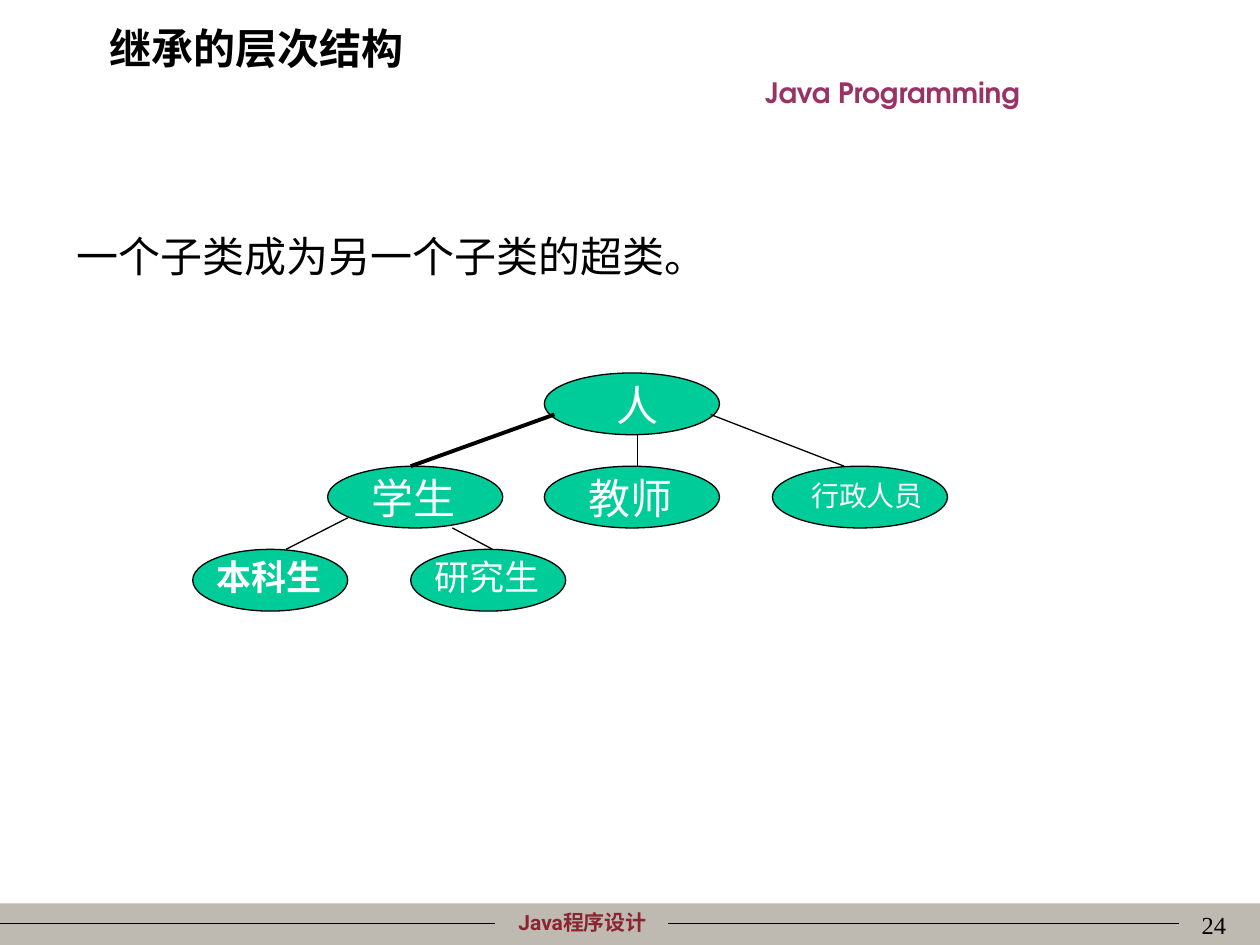
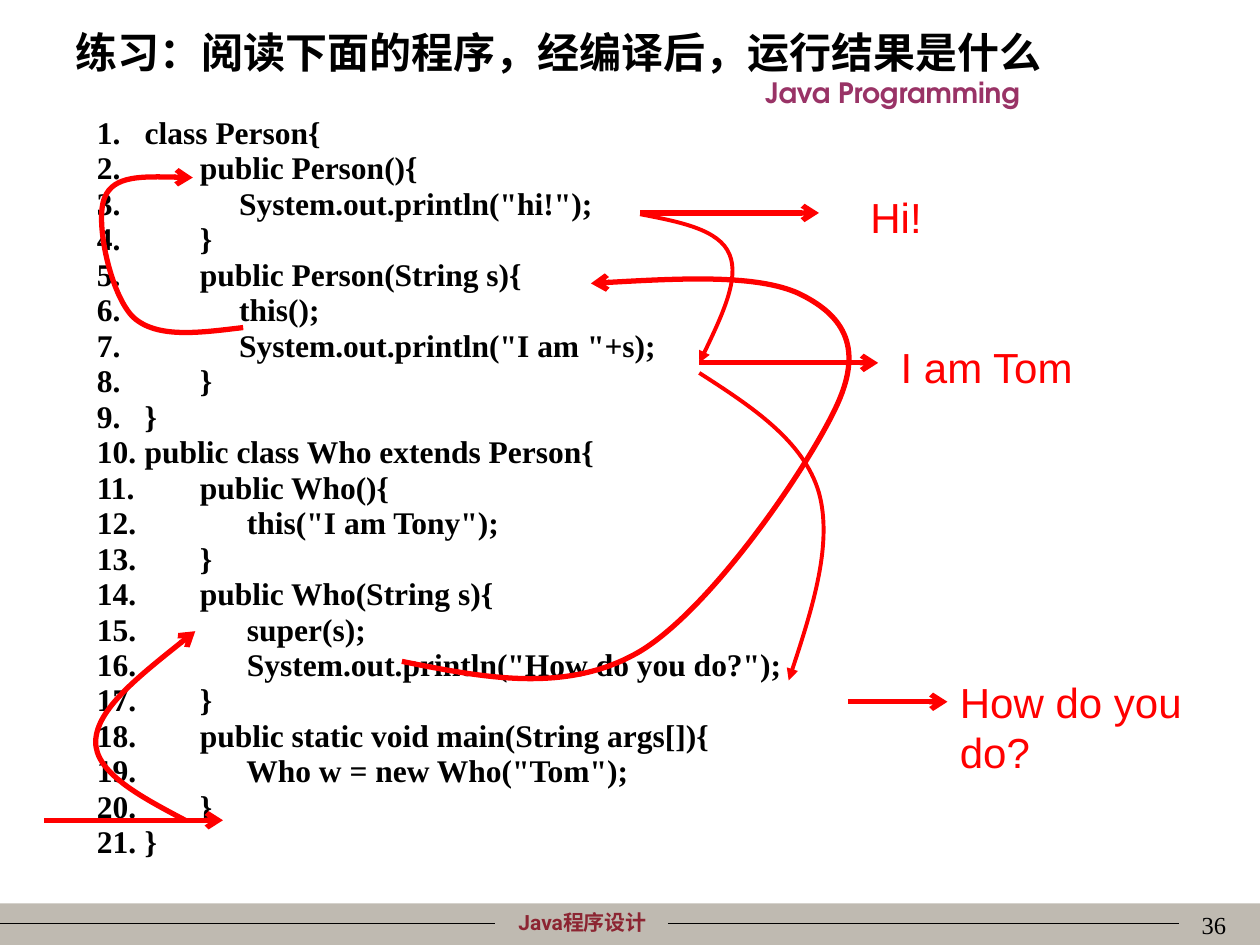
from lxml import etree
from pptx import Presentation
from pptx.dml.color import RGBColor
from pptx.enum.shapes import MSO_CONNECTOR, MSO_SHAPE
from pptx.enum.text import PP_ALIGN
from pptx.oxml.ns import qn
from pptx.util import Inches, Pt

RECTANGLE, OVAL = MSO_SHAPE.RECTANGLE, MSO_SHAPE.OVAL
STRAIGHT = MSO_CONNECTOR.STRAIGHT
LEFT, CENTER, RIGHT = PP_ALIGN.LEFT, PP_ALIGN.CENTER, PP_ALIGN.RIGHT

COLORS = {
    "text": "000000", "node": "00CC99", "label": "FFFFFF", "trace": "FF0000",
    "band": "BFBAB1", "footer": "8C2532", "course": "993366",
}
SERIF, SANS, CJK = "Times New Roman", "Arial", "Noto Sans CJK SC"

HIERARCHY = {
    "title": "继承的层次结构",
    "title_box": (0.77, 0.13, 8.5, 0.5),
    "number": "24",
    "statement": "一个子类成为另一个子类的超类。",
}
NODE_HEIGHT = 0.49
# Node width, then label offset, label size and text format per kind of node
NODE_KINDS = {
    "root": (1.39, (0.25, 0), (0.98, 0.5), {"size": 24, "align": CENTER}),
    "role": (1.39, (0.25, 0), (0.98, 0.5), {"size": 24}),
    "staff": (1.39, (0.21, 0.05), (1.26, 0.37), {"size": 16}),
    "student": (1.23, (0.09, 0), (1.31, 0.44), {"size": 20}),
    "undergraduate": (1.23, (0.09, 0), (1.31, 0.44), {"size": 20, "bold": True}),
}
NODES = [
    ("人", "root", 4.32, 2.96),
    ("学生", "role", 2.6, 3.7),
    ("行政人员", "staff", 6.13, 3.7),
    ("教师", "role", 4.32, 3.7),
    ("本科生", "undergraduate", 1.53, 4.36),
    ("研究生", "student", 3.26, 4.36),
]
BRANCHES = [
    ((4.4, 3.29), (3.26, 3.7), 2.25),
    ((5.06, 3.45), (5.06, 3.7), 0.75),
    ((5.64, 3.29), (6.7, 3.7), 0.75),
    ((2.76, 4.11), (2.27, 4.36), 0.75),
    ((3.59, 4.19), (3.91, 4.36), 0.75),
]

EXERCISE = {
    "title": "练习：阅读下面的程序，经编译后，运行结果是什么",
    "title_box": (0.5, 0.16, 9, 0.53),
    "number": "36",
}
CODE = """\
class Person{
       public Person(){
            System.out.println("hi!");
       }
       public Person(String s){
            this();
            System.out.println("I am "+s);
       }
}
public class Who extends Person{
       public Who(){
             this("I am Tony");
       }
       public Who(String s){
             super(s);
             System.out.println("How do you do?");
       }
       public static void main(String args[]){
             Who w = new Who("Tom");
       }
}"""
TRACE_ARROWS = [
    ((0.35, 6.51), (1.77, 6.51)),
    ((5.08, 1.69), (6.5, 1.69)),
    ((5.55, 2.88), (6.97, 2.88)),
    ((6.73, 5.57), (7.52, 5.57)),
]
OUTPUTS = [
    ("Hi!", (6.81, 1.47, 2.36, 0.5)),
    ("I am Tom", (7.05, 2.66, 2.36, 0.5)),
    ("How do you do?", (7.52, 5.32, 2.36, 0.9)),
]
# Start point followed by three Bezier points per segment
CALLS = [
    [(1.47, 6.51), (1.11, 6.32), (0.75, 6.13), (0.76, 5.88),
     (0.77, 5.63), (1.16, 5.32), (1.55, 5.01)],
    [(3.19, 5.25), (3.84, 5.38), (4.5, 5.51), (5.08, 5.17),
     (5.66, 4.82), (6.44, 3.67), (6.65, 3.2),
     (6.86, 2.73), (6.67, 2.49), (6.34, 2.33),
     (6.01, 2.18), (5.35, 2.21), (4.69, 2.25)],
    [(1.93, 2.6), (1.59, 2.64), (1.25, 2.69), (1.06, 2.52),
     (0.88, 2.35), (0.75, 1.76), (0.83, 1.57),
     (0.9, 1.39), (1.22, 1.4), (1.53, 1.41)],
]
RETURNS = [
    [(5.08, 1.7), (5.39, 1.76), (5.71, 1.82), (5.79, 2.02),
     (5.87, 2.21), (5.71, 2.55), (5.55, 2.88)],
    [(5.55, 2.96), (5.97, 3.23), (6.38, 3.5), (6.5, 3.91),
     (6.61, 4.31), (6.44, 4.86), (6.26, 5.4)],
]


def rgb(name):
    return RGBColor.from_string(COLORS[name])


def inches(values):
    return [Inches(value) for value in values]


def number_paragraph(para, indent):
    properties = para._p.get_or_add_pPr()
    properties.set("marL", str(Inches(indent)))
    properties.set("indent", str(-Inches(indent)))
    etree.SubElement(properties, qn("a:buAutoNum"), type="arabicPeriod")


def add_text(page, area, text, size=24, font=SERIF, color="text", bold=False,
             align=LEFT, numbered=False, line_spacing=None, space_before=0):
    frame = page.shapes.add_textbox(*inches(area)).text_frame
    frame.word_wrap = True
    for index, line in enumerate(text.split("\n")):
        para = frame.add_paragraph() if index else frame.paragraphs[0]
        if numbered:
            number_paragraph(para, 0.38)
        para.alignment = align
        para.line_spacing = line_spacing
        if index and space_before:
            para.space_before = Pt(space_before)
        span = para.add_run()
        span.text = line
        span.font.size, span.font.name, span.font.bold = Pt(size), font, bold
        span.font.color.rgb = rgb(color)
        etree.SubElement(span._r.get_or_add_rPr(), qn("a:ea"), typeface=CJK)


def add_filled(page, kind, area, fill, outlined=False):
    shape = page.shapes.add_shape(kind, *inches(area))
    shape.shadow.inherit = False
    shape.fill.solid()
    shape.fill.fore_color.rgb = rgb(fill)
    if outlined:
        draw_line(shape, "text", 0.75)
    else:
        shape.line.fill.background()


def draw_line(shape, color, width, head=None):
    shape.line.color.rgb = rgb(color)
    shape.line.width = Pt(width)
    if head:
        outline = shape.element.spPr.find(qn("a:ln"))
        etree.SubElement(outline, qn("a:tailEnd"), type=head)


def add_line(page, start, end, color="text", width=0.75, head=None):
    line = page.shapes.add_connector(STRAIGHT, *inches(start + end))
    draw_line(line, color, width, head)
    etree.SubElement(line.element.spPr, qn("a:effectLst"))


def add_curve(page, points, width, head):
    """Build a freeform through the points, then turn each three steps into a Bezier."""
    start, *rest = [inches(point) for point in points]
    builder = page.shapes.build_freeform(*start)
    builder.add_line_segments(rest, close=False)
    curve = builder.convert_to_shape()
    curve.shadow.inherit = False
    curve.fill.background()
    draw_line(curve, "trace", width, head)
    outline = curve.element.find(".//" + qn("a:path"))
    steps = outline.findall(qn("a:lnTo"))
    for first in range(0, len(steps), 3):
        bezier = etree.SubElement(outline, qn("a:cubicBezTo"))
        for step in steps[first:first + 3]:
            bezier.append(step[0])
            outline.remove(step)


def add_page(deck, content):
    page = deck.slides.add_slide(deck.slide_layouts[6])
    add_filled(page, RECTANGLE, (0, 7.17, 10, 0.33), "band")
    add_text(page, (3.62, 7.17, 2.01, 0.3), "Java程序设计", size=12,
             font="Roboto", color="footer", bold=True, align=CENTER)
    for left, right in ((0, 3.93), (5.3, 9.36)):
        add_line(page, (left, 7.33), (right, 7.33))
    add_text(page, (5.08, 0.55, 4.01, 0.37), "Java Programming", size=16,
             font="TeX Gyre Adventor", color="course", bold=True, align=CENTER)
    add_text(page, (7.75, 7.17, 2.08, 0.5), content["number"], size=14, align=RIGHT)
    add_text(page, content["title_box"], content["title"], font=CJK, bold=True)
    return page


def add_hierarchy(deck):
    page = add_page(deck, HIERARCHY)
    add_text(page, (0.51, 1.78, 9, 4.96), HIERARCHY["statement"])
    for label, kind, left, top in NODES:
        width, (right, down), label_size, style = NODE_KINDS[kind]
        add_filled(page, OVAL, (left, top, width, NODE_HEIGHT), "node", outlined=True)
        add_text(page, (left + right, top + down, *label_size), label,
                 color="label", **style)
    for start, end, width in BRANCHES:
        add_line(page, start, end, width=width)


def add_exercise(deck):
    page = add_page(deck, EXERCISE)
    add_text(page, (0.67, 0.93, 9.08, 6.13), CODE, size=18, bold=True,
             numbered=True, line_spacing=0.7, space_before=5.15)
    for start, end in TRACE_ARROWS:
        add_line(page, start, end, color="trace", width=3, head="arrow")
    for points in CALLS:
        add_curve(page, points, 3, "arrow")
    for points in RETURNS:
        add_curve(page, points, 2.25, "triangle")
    for output, area in OUTPUTS:
        add_text(page, area, output, font=SANS, color="trace")


def main():
    deck = Presentation()
    deck.slide_width, deck.slide_height = Inches(10), Inches(7.5)
    add_hierarchy(deck)
    add_exercise(deck)
    deck.save("out.pptx")


if __name__ == "__main__":
    main()
